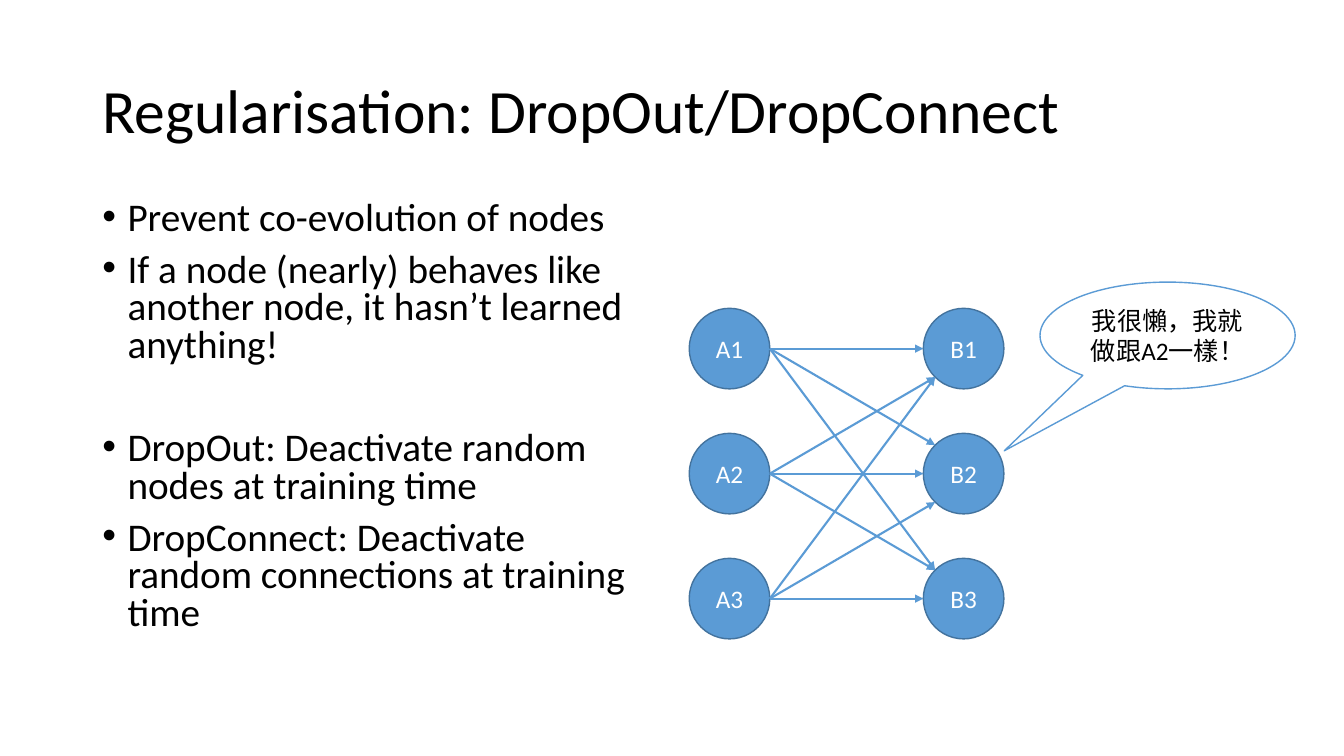
from dataclasses import dataclass
from itertools import product
from math import sqrt

from lxml import etree
from pptx import Presentation
from pptx import util as u
from pptx.dml.color import RGBColor
from pptx.enum import shapes, text
from pptx.oxml.ns import qn

HUES = {"ink": "000000", "paper": "FFFFFF", "node": "5B9BD5", "rim": "43739E"}
FONT = "Calibri"
SIZE = 2.03
TOP = 7.77
STEP = 3.15
COLS = {"A": 17.37, "B": 23.27}
ROWS = 3


@dataclass
class Box:
    left: float
    top: float
    width: float
    height: float

    def spot(self):
        return [u.Cm(n) for n in (self.left, self.top, self.width, self.height)]


@dataclass
class Node:
    col: str
    row: int

    def box(self) -> Box:
        return Box(COLS[self.col], TOP + self.row * STEP, SIZE, SIZE)

    def exit(self):
        box = self.box()
        return box.left + SIZE, box.top + SIZE / 2

    def entry(self, source: int):
        box = self.box()
        side = (source > self.row) - (source < self.row)
        reach = SIZE / 2
        slant = reach / sqrt(2)
        across = slant if side else reach
        return box.left + reach - across, box.top + reach + side * slant


@dataclass
class Point:
    words: str
    gap: int = 10


POINTS = [
    Point("Prevent co-evolution of nodes"),
    Point("If a node (nearly) behaves like another node, it hasn’t learned anything!"),
    Point("DropOut: Deactivate random nodes at training time", 47),
    Point("DropConnect: Deactivate random connections at training time"),
]


def tint(name: str) -> RGBColor:
    return RGBColor.from_string(HUES[name])


def write(para, words: str, size: int, hue: str = "ink") -> None:
    run = para.add_run()
    run.text = words
    run.font.name = FONT
    run.font.size = u.Pt(size)
    run.font.color.rgb = tint(hue)


def add_text(slide, box: Box, anchor):
    frame = slide.shapes.add_textbox(*box.spot()).text_frame
    frame.word_wrap = True
    frame.vertical_anchor = anchor
    return frame


def add_title(slide, box: Box, words: str) -> None:
    para = add_text(slide, box, text.MSO_ANCHOR.MIDDLE).paragraphs[0]
    para.line_spacing = 0.9
    write(para, words, 44)


def add_list(slide, box: Box, points: list[Point]) -> None:
    frame = add_text(slide, box, text.MSO_ANCHOR.TOP)
    for i, point in enumerate(points):
        para = frame.add_paragraph() if i else frame.paragraphs[0]
        para.line_spacing = 0.8
        para.space_before = u.Pt(point.gap)
        props = para._p.get_or_add_pPr()
        indent = u.Cm(0.635)
        props.set("marL", str(indent))
        props.set("indent", str(-indent))
        etree.SubElement(props, qn("a:buFont"), typeface="Arial")
        etree.SubElement(props, qn("a:buChar"), char="•")
        write(para, point.words, 28)


def add_form(slide, kind, box: Box, words: str, fill: str, line: str, hue: str):
    form = slide.shapes.add_shape(kind, *box.spot())
    form.shadow.inherit = False
    form.fill.solid()
    form.fill.fore_color.rgb = tint(fill)
    form.line.color.rgb = tint(line)
    form.line.width = u.Pt(1)
    frame = form.text_frame
    frame.word_wrap = True
    frame.vertical_anchor = text.MSO_ANCHOR.MIDDLE
    para = frame.paragraphs[0]
    para.alignment = text.PP_ALIGN.CENTER
    write(para, words, 18, hue)
    return form


def add_arrow(slide, source: Node, target: Node) -> None:
    ends = [u.Cm(n) for n in (*source.exit(), *target.entry(source.row))]
    arrow = slide.shapes.add_connector(shapes.MSO_CONNECTOR.STRAIGHT, *ends)
    arrow.line.color.rgb = tint("node")
    arrow.line.width = u.Pt(1.5)
    etree.SubElement(arrow.line._get_or_add_ln(), qn("a:tailEnd"), type="triangle")
    etree.SubElement(arrow._element.spPr, qn("a:effectLst"))


def main() -> None:
    deck = Presentation()
    deck.slide_width, deck.slide_height = u.Cm(33.87), u.Cm(19.05)
    slide = deck.slides.add_slide(deck.slide_layouts[6])

    add_title(slide, Box(2.33, 1.01, 29.21, 3.68), "Regularisation: DropOut/DropConnect")
    add_list(slide, Box(2.33, 4.95, 14.43, 12.3), POINTS)

    kinds = shapes.MSO_SHAPE
    for col, row in product(COLS, range(ROWS)):
        add_form(slide, kinds.OVAL, Node(col, row).box(), f"{col}{row + 1}",
                 "node", "rim", "paper")
    for start, end in product(range(ROWS), repeat=2):
        add_arrow(slide, Node("A", start), Node("B", end))

    bubble = add_form(slide, kinds.OVAL_CALLOUT, Box(26.21, 7.11, 6.43, 2.69),
                      "我很懶，我就做跟A2一樣！", "paper", "node", "ink")
    bubble.adjustments[0] = -0.64
    bubble.adjustments[1] = 1.08

    deck.save("out.pptx")


main()
